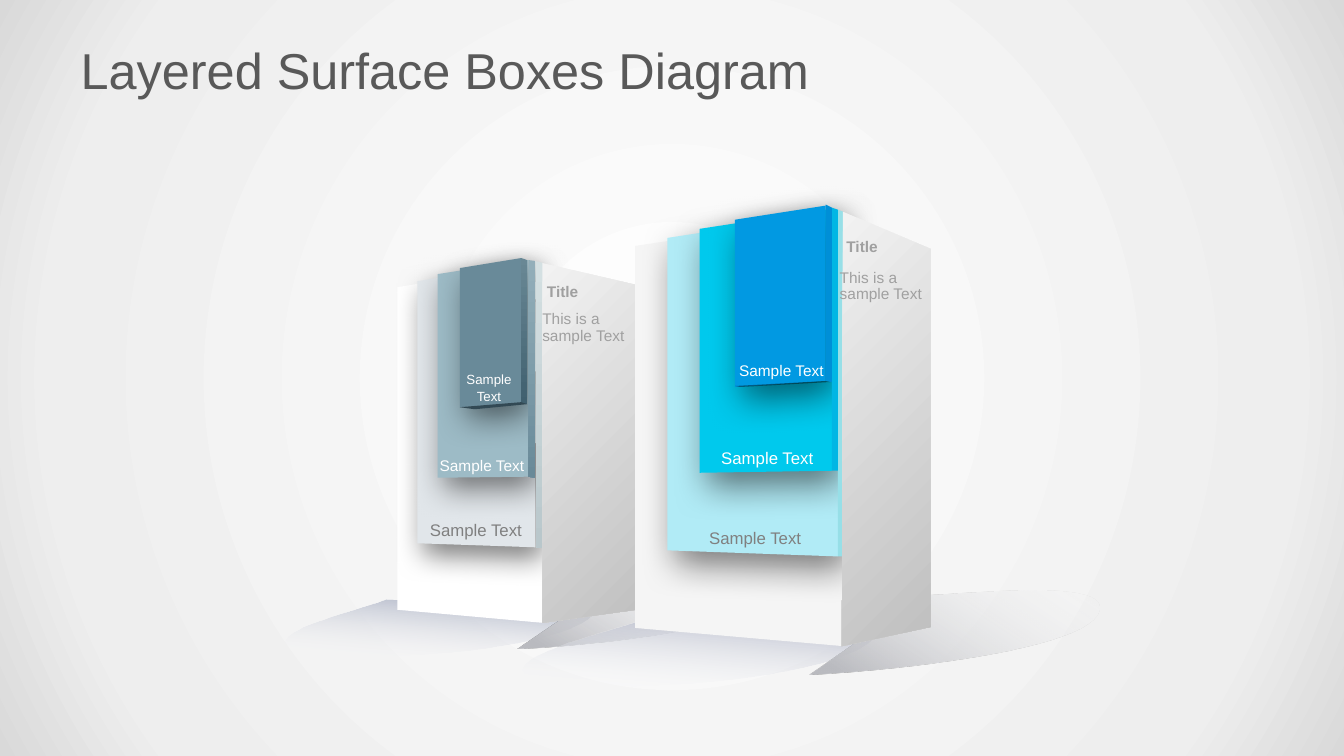
import pptx
import pptx.util
import pptx.dml.color
import pptx.enum.text
import pptx.oxml
import pptx.oxml.ns

Inches = pptx.util.Inches
qn = pptx.oxml.ns.qn
space = 'xmlns:a="http://schemas.openxmlformats.org/drawingml/2006/main"'


def paint(stops, tail=""):
    hues = [
        f'<a:srgbClr val="{hue}"><a:alpha val="{alpha * 1000}"/></a:srgbClr>'
        for _, hue, alpha in stops
    ]
    if len(stops) == 1:
        return pptx.oxml.parse_xml(f"<a:solidFill {space}>{hues[0]}</a:solidFill>")
    marks = "".join(
        f'<a:gs pos="{stop[0] * 1000}">{hue}</a:gs>' for stop, hue in zip(stops, hues)
    )
    return pptx.oxml.parse_xml(
        f'<a:gradFill {space} rotWithShape="1"><a:gsLst>{marks}</a:gsLst>{tail}</a:gradFill>'
    )


def draw(shapes, points, stops, angle=0, blur=0, gap=0):
    spots = [(Inches(x), Inches(y)) for x, y in points]
    pen = shapes.build_freeform(*spots[0], scale=1.0)
    pen.add_line_segments(spots[1:], close=True)
    shape = pen.convert_to_shape()
    shape.line.fill.background()
    shape.shadow.inherit = False
    props = shape.element.spPr
    tail = f'<a:lin ang="{angle * 60000}" scaled="0"/>'
    props.find(qn("a:custGeom")).addnext(paint(stops, tail))
    if blur:
        props.find(qn("a:effectLst")).append(pptx.oxml.parse_xml(
            f'<a:outerShdw {space} blurRad="{blur * 12700}" dist="{gap * 12700}" '
            'dir="3600000" algn="t" rotWithShape="0">'
            '<a:srgbClr val="000000"><a:alpha val="50000"/></a:srgbClr></a:outerShdw>'
        ))
    return shape


deck = pptx.Presentation()
deck.slide_width = Inches(13.33)
deck.slide_height = Inches(7.5)
slide = deck.slides.add_slide(deck.slide_layouts[5])

slide.background.fill.solid()
back = slide.element.find(".//" + qn("p:bgPr"))
glow = paint(
    [(0, "FFFFFF", 100), (81, "EEEEEE", 100), (100, "D9D9D9", 100)],
    '<a:path path="circle"><a:fillToRect l="50000" t="50000" r="50000" b="50000"/></a:path>',
)
back.replace(back.find(qn("a:solidFill")), glow)

floors = [
    ((3.83, 5.95), [((3.56, 6.06), (2.66, 6.25), (2.86, 6.42)),
                    ((3.12, 6.62), (5.48, 6.51), (5.89, 6.1))], 100, "A0A7BC", 275, 0),
    ((5.09, 6.28), [((5.78, 6.34), (7.53, 6.37), (7.66, 6.05)),
                    ((7.76, 5.8), (6.81, 5.78), (6.16, 5.73))], 90, "BABBC0", 130, 353),
    ((6.32, 6.17), [((6.01, 6.28), (4.99, 6.51), (5.21, 6.7)),
                    ((5.51, 6.93), (8.19, 6.8), (8.66, 6.34))], 100, "B3B8C9", 275, 0),
    ((7.98, 6.51), [((8.77, 6.57), (10.76, 6.61), (10.91, 6.24)),
                    ((11.02, 5.96), (9.93, 5.93), (9.2, 5.88))], 90, "BABBC0", 130, 353),
]
steps = 24
for start, curves, end, hue, angle, turn in floors:
    points = [start]
    for curve in curves:
        knots = (points[-1], *curve)
        for step in range(1, steps + 1):
            t = step / steps
            shares = ((1 - t) ** 3, 3 * t * (1 - t) ** 2, 3 * t * t * (1 - t), t ** 3)
            points.append(tuple(
                sum(share * knot[axis] for share, knot in zip(shares, knots))
                for axis in (0, 1)
            ))
    shape = draw(slide.shapes, points, [(0, "FFFFFF", 0), (end, hue, 100)], angle)
    shape.rotation = turn

left = [
    ([(3.94, 2.85), (3.94, 6.05), (5.39, 6.18), (5.39, 2.61)], ["FFFFFF"], 0, 0, 0),
    ([(4.14, 2.79), (5.31, 2.6), (5.31, 5.43), (4.14, 5.39)], ["E1E6EA"], 0, 20, 9),
    ([(4.34, 2.72), (4.34, 4.74), (5.24, 4.73), (5.24, 2.58)], ["9DBBC6"], 0, 22, 9),
    ([(4.56, 2.66), (4.56, 4.04), (5.17, 4), (5.17, 2.56)], ["698A99"], 0, 23, 10),
    ([(5.31, 2.59), (5.39, 2.61), (5.38, 5.44), (5.32, 5.43)], ["D4E0E2", "B9C7CB"], 90, 0, 0),
    ([(5.24, 2.58), (5.31, 2.59), (5.31, 4.74), (5.24, 4.73)], ["93AFBA", "698A99"], 90, 0, 0),
    ([(5.17, 2.56), (5.23, 2.58), (5.23, 4.01), (5.17, 3.99)], ["698895", "40606F"], 90, 0, 0),
    ([(5.38, 2.61), (5.38, 6.18), (6.45, 6.03), (6.45, 2.86)], ["F2F2F2", "BFBFBF"], 45, 0, 0),
    ([(4.56, 4.04), (4.71, 4.06), (5.23, 4.01), (5.17, 3.99)], ["324954"], 0, 0, 0),
]
right = [
    ([(6.3, 2.44), (8.36, 2.13), (8.36, 6.41), (6.3, 6.23)], ["F5F5F5"], 0, 0, 0),
    ([(6.62, 2.36), (6.62, 5.46), (8.31, 5.52), (8.31, 2.1)], ["B1EBF6"], 0, 25, 11),
    ([(6.94, 2.27), (6.94, 4.69), (8.25, 4.67), (8.25, 2.07)], ["00C9ED"], 0, 25, 11),
    ([(7.29, 2.18), (8.19, 2.04), (8.19, 3.78), (7.29, 3.84)], ["0199E2"], 0, 25, 11),
    ([(7.29, 3.83), (8.19, 3.78), (8.24, 3.79), (7.34, 3.84)], ["000000"], 0, 0, 0),
    ([(8.31, 2.08), (8.36, 2.1), (8.36, 5.52), (8.31, 5.52)], ["97DFE7"], 0, 0, 0),
    ([(8.25, 2.06), (8.31, 2.08), (8.31, 4.67), (8.25, 4.67)], ["02B6E4"], 0, 0, 0),
    ([(8.19, 2.03), (8.25, 2.06), (8.25, 3.79), (8.19, 3.78)], ["008FD7"], 0, 0, 0),
    ([(8.36, 2.1), (9.23, 2.47), (9.23, 6.22), (8.35, 6.41)], ["F2F2F2", "BFBFBF"], 45, 0, 0),
]
for tower in (left, right):
    group = slide.shapes.add_group_shape()
    for points, hues, angle, blur, gap in tower:
        alpha = 40 if hues == ["000000"] else 100
        stops = [(100 * spot, hue, alpha) for spot, hue in enumerate(hues)]
        draw(group.shapes, points, stops, angle, blur, gap)

head = slide.shapes.title
labels = [
    (head, "Layered Surface Boxes Diagram", 0.67, 0.3, 12, 0.78, 36, "595959"),
    (None, "Title", 8.29, 2.3, 0.52, 0.29, 11, "A0A0A0"),
    (None, "This is a sample Text", 8.23, 2.62, 1.08, 0.44, 11, "A0A0A0"),
    (None, "Sample Text", 7.19, 3.55, 1.12, 0.27, 11, "FFFFFF"),
    (None, "Sample Text", 7.05, 4.42, 1.12, 0.27, 12, "FFFFFF"),
    (None, "Sample Text", 6.93, 5.22, 1.12, 0.27, 12, "808080"),
    (None, "Title", 5.32, 2.75, 0.52, 0.29, 11, "A0A0A0"),
    (None, "This is a sample Text", 5.28, 3.03, 1.08, 0.44, 11, "A0A0A0"),
    (None, "Sample Text", 4.41, 3.62, 0.88, 0.44, 9.5, "FFFFFF"),
    (None, "Sample Text", 4.22, 4.49, 1.12, 0.27, 11, "FFFFFF"),
    (None, "Sample Text", 4.16, 5.14, 1.12, 0.27, 12, "808080"),
]
align = pptx.enum.text.PP_ALIGN
for box, text, x, y, width, height, size, hue in labels:
    place = [Inches(v) for v in (x, y, width, height)]
    title = box is not None
    if title:
        box.left, box.top, box.width, box.height = place
    else:
        box = slide.shapes.add_textbox(*place)
    frame = box.text_frame
    frame.text = text
    frame.word_wrap = text != "Title"
    frame.vertical_anchor = pptx.enum.text.MSO_ANCHOR.MIDDLE
    para = frame.paragraphs[0]
    para.alignment = align.LEFT if title or text.startswith("This") else align.CENTER
    if title:
        frame.auto_size = pptx.enum.text.MSO_AUTO_SIZE.NONE
        frame.margin_left = frame.margin_right = Inches(0.13)
        frame.margin_top = frame.margin_bottom = Inches(0.07)
    else:
        frame.auto_size = pptx.enum.text.MSO_AUTO_SIZE.SHAPE_TO_FIT_TEXT
        if text != "Title":
            para.line_spacing = pptx.util.Pt(12)
    font = para.runs[0].font
    font.name = "Arial"
    font.size = pptx.util.Pt(size)
    font.bold = text == "Title"
    font.color.rgb = pptx.dml.color.RGBColor.from_string(hue)

deck.save("out.pptx")
